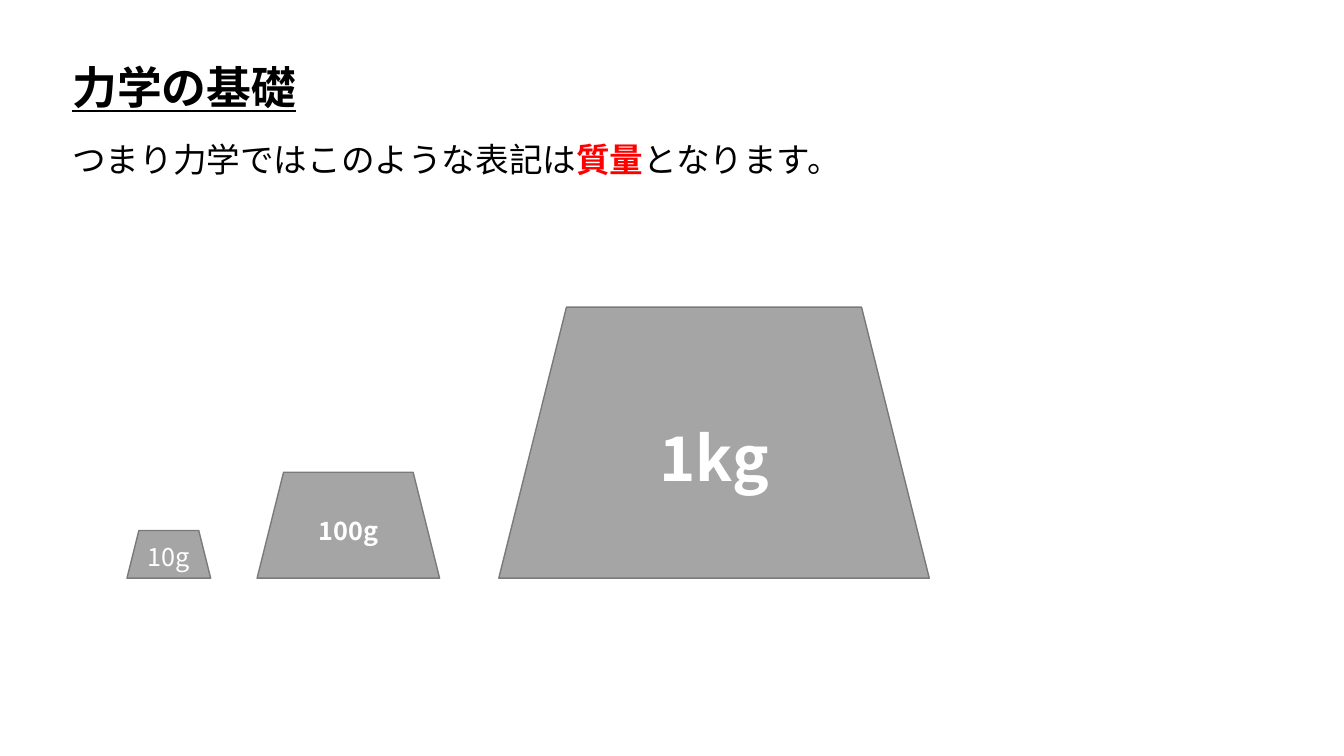
import pptx
import pptx.util
import pptx.dml.color
import pptx.enum.shapes
import pptx.enum.text
import pptx.oxml
import pptx.oxml.ns

Cm = pptx.util.Cm
Pt = pptx.util.Pt
RGBColor = pptx.dml.color.RGBColor
Align = pptx.enum.text.PP_ALIGN
Anchor = pptx.enum.text.MSO_ANCHOR

FONT = "Noto Sans CJK JP"
BLACK = RGBColor(0, 0, 0)
WHITE = RGBColor(255, 255, 255)
RED = RGBColor(255, 0, 0)
GREY = RGBColor(0xA5, 0xA5, 0xA5)
EDGE = RGBColor(0x7A, 0x7A, 0x7A)

BASE = 14.57
WEIGHTS = [
    ("10g", 3.2, 2.11, 1.2, 18, False),
    ("100g", 6.48, 4.6, 2.67, 18, True),
    ("1kg", 12.57, 10.85, 6.83, 44, True),
]


def add_run(para, text, size, color, bold=False, under=False):
    run = para.add_run()
    run.text = text
    font = run.font
    font.size = Pt(size)
    font.bold = bold
    font.underline = under
    font.color.rgb = color
    font.name = FONT
    props = run._r.get_or_add_rPr()
    east = pptx.oxml.parse_xml(
        f'<a:ea {pptx.oxml.ns.nsdecls("a")} typeface="{FONT}"/>')
    props.find(pptx.oxml.ns.qn("a:latin")).addnext(east)


def place(shape, left, top, width, height):
    shape.left, shape.top = Cm(left), Cm(top)
    shape.width, shape.height = Cm(width), Cm(height)


def set_text(holder, box):
    place(holder, *box)
    frame = holder.text_frame
    frame.word_wrap = False
    frame.auto_size = pptx.enum.text.MSO_AUTO_SIZE.NONE
    frame.vertical_anchor = Anchor.TOP
    para = frame.paragraphs[0]
    para.alignment = Align.LEFT
    para.space_before = Pt(0)
    return para


def add_title(slide, box):
    para = set_text(slide.shapes.title, box)
    add_run(para, "力学の基礎", 32, BLACK, True, True)


def add_body(slide, box):
    para = set_text(slide.placeholders[1], box)
    props = para._p.get_or_add_pPr()
    props.set("marL", "0")
    props.set("indent", "0")
    props.append(pptx.oxml.parse_xml(
        f'<a:buNone {pptx.oxml.ns.nsdecls("a")}/>'))
    add_run(para, "つまり力学ではこのような表記は", 24, BLACK)
    add_run(para, "質量", 24, RED, True)
    add_run(para, "となります。", 24, BLACK)


def add_weight(slide, box, label, size, bold):
    shape = slide.shapes.add_shape(
        pptx.enum.shapes.MSO_SHAPE.TRAPEZOID, *map(Cm, box))
    shape.shadow.inherit = False
    shape.fill.solid()
    shape.fill.fore_color.rgb = GREY
    shape.line.color.rgb = EDGE
    shape.line.width = Pt(1)
    frame = shape.text_frame
    frame.word_wrap = True
    frame.vertical_anchor = Anchor.MIDDLE
    para = frame.paragraphs[0]
    para.alignment = Align.CENTER
    add_run(para, label, size, WHITE, bold)


def main():
    deck = pptx.Presentation()
    deck.slide_width, deck.slide_height = Cm(33.87), Cm(19.05)
    slide = deck.slides.add_slide(deck.slide_layouts[1])
    add_title(slide, (1.57, 1.37, 6.22, 1.63))
    add_body(slide, (1.57, 3.38, 20.17, 1.27))
    for label, left, width, height, size, bold in WEIGHTS:
        box = (left, BASE - height, width, height)
        add_weight(slide, box, label, size, bold)
    deck.save("out.pptx")


if __name__ == "__main__":
    main()
